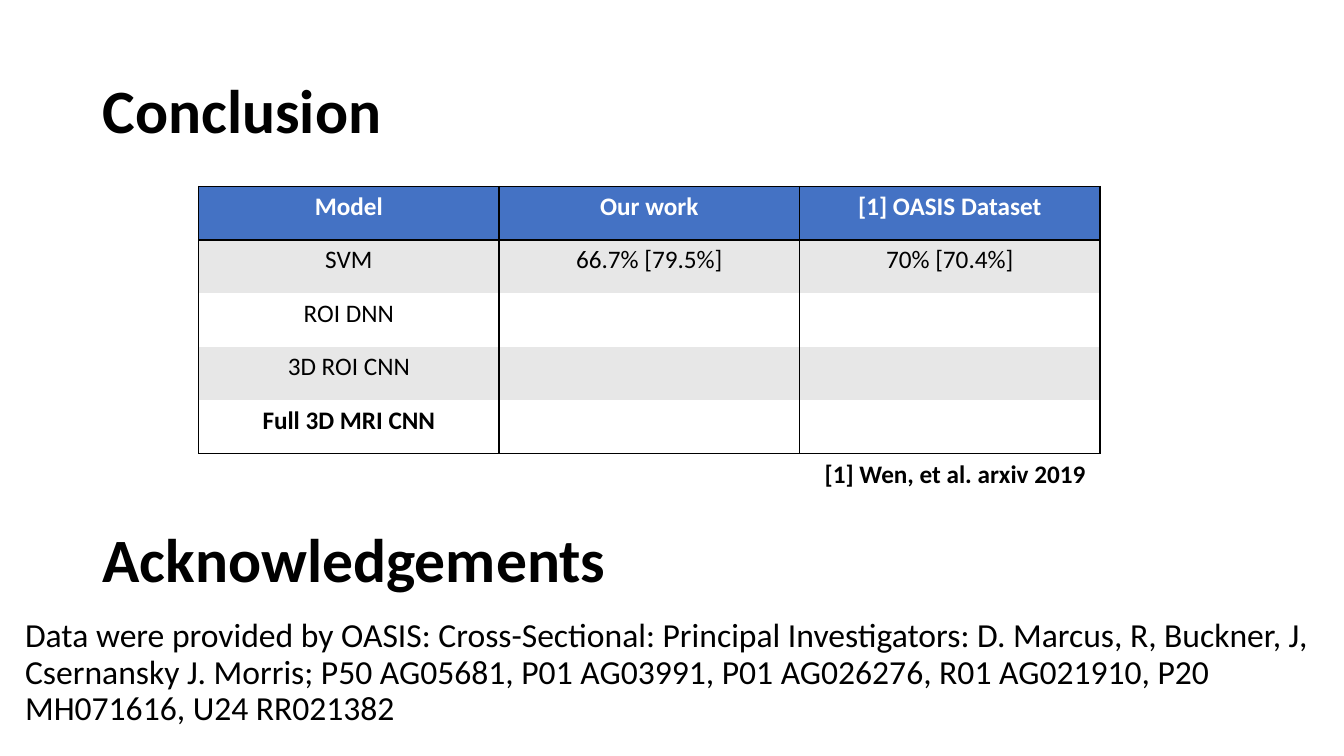
from lxml.etree import SubElement
from pptx import Presentation
from pptx.dml.color import RGBColor
from pptx.enum.text import MSO_ANCHOR as ANCHOR, PP_ALIGN as ALIGN
from pptx.oxml.ns import qn
from pptx.util import Inches, Pt

BLACK = RGBColor(0x00, 0x00, 0x00)
WHITE = RGBColor(0xFF, 0xFF, 0xFF)
BLUE = RGBColor(0x44, 0x72, 0xC4)
GRAY = RGBColor(0xE7, 0xE7, 0xE7)
FONT = "Calibri"

ROWS = [
    ("Model", "Our work", "[1] OASIS Dataset"),
    ("SVM", "66.7% [79.5%]", "70% [70.4%]"),
    ("ROI DNN", "", ""),
    ("3D ROI CNN", "", ""),
    ("Full 3D MRI CNN", "", ""),
]
COL_W, ROW_H = Inches(2.98), Inches(0.53)
TABLE_X, TABLE_Y = Inches(1.97), Inches(1.85)


def write(tf, text, size, bold=False, color=BLACK, align=ALIGN.LEFT, spacing=None):
    tf.text = text
    p = tf.paragraphs[0]
    p.alignment = align
    p.line_spacing = spacing
    for r in p.runs:
        r.font.name, r.font.size, r.font.bold = FONT, Pt(size), bold
        r.font.color.rgb = color


def set_borders(cell, widths):
    """Draw black borders; widths maps a side (L, R, T, B) to points."""
    tc_pr = cell._tc.get_or_add_tcPr()
    for i, side in enumerate("LRTB"):
        width = widths.get(side, 0)
        ln = tc_pr.makeelement(qn(f"a:ln{side}"), {"w": str(Pt(width))})
        tc_pr.insert(i, ln)
        if width:
            fill = SubElement(ln, qn("a:solidFill"))
            SubElement(fill, qn("a:srgbClr"), val=str(BLACK))
        else:
            SubElement(ln, qn("a:noFill"))


prs = Presentation()
prs.slide_width, prs.slide_height = Inches(13.33), Inches(7.5)
slide = prs.slides.add_slide(prs.slide_layouts[5])

# Headings
heading_box = Inches(11.5), Inches(1.45)
title = slide.shapes.title
title.left, title.top = Inches(0.92), Inches(0.4)
title.width, title.height = heading_box
thanks = slide.shapes.add_textbox(title.left, Inches(4.86), *heading_box)
for sp, text in ((title, "Conclusion"), (thanks, "Acknowledgements")):
    tf = sp.text_frame
    tf.word_wrap = True
    tf.vertical_anchor = ANCHOR.MIDDLE
    write(tf, text, 44, bold=True, spacing=0.9)

# Funding statement
funding = slide.shapes.add_textbox(Inches(0.15), Inches(6.09), Inches(13.19), Inches(1.41))
funding.text_frame.word_wrap = True
write(
    funding.text_frame,
    "Data were provided by OASIS: Cross-Sectional: Principal Investigators: "
    "D. Marcus, R, Buckner, J, Csernansky J. Morris; P50 AG05681, P01 AG03991, "
    "P01 AG026276, R01 AG021910, P20 MH071616, U24 RR021382",
    24,
    spacing=0.9,
)

# Results table
n_rows, n_cols = len(ROWS), len(ROWS[0])
table = slide.shapes.add_table(
    n_rows, n_cols, TABLE_X, TABLE_Y, n_cols * COL_W, n_rows * ROW_H
).table
last = n_rows - 1
for i, row in enumerate(ROWS):
    table.rows[i].height = ROW_H
    header = i == 0
    widths = {"L": 1, "R": 1}
    if header:
        widths.update(T=1, B=2)
    elif i == 1:
        widths["T"] = 2
    elif i == last:
        widths["B"] = 1
    for j, text in enumerate(row):
        cell = table.cell(i, j)
        cell.fill.solid()
        cell.fill.fore_color.rgb = BLUE if header else GRAY if i % 2 else WHITE
        write(cell.text_frame, text, 18, bold=i in (0, last),
              color=WHITE if header else BLACK, align=ALIGN.CENTER)
        set_borders(cell, widths)

# Citation under the table
cite = slide.shapes.add_textbox(Inches(8.08), TABLE_Y + n_rows * ROW_H, Inches(2.82), Inches(0.4))
cite.text_frame.word_wrap = False
write(cite.text_frame, "[1] Wen, et al. arxiv 2019", 18, bold=True)

prs.save("out.pptx")
